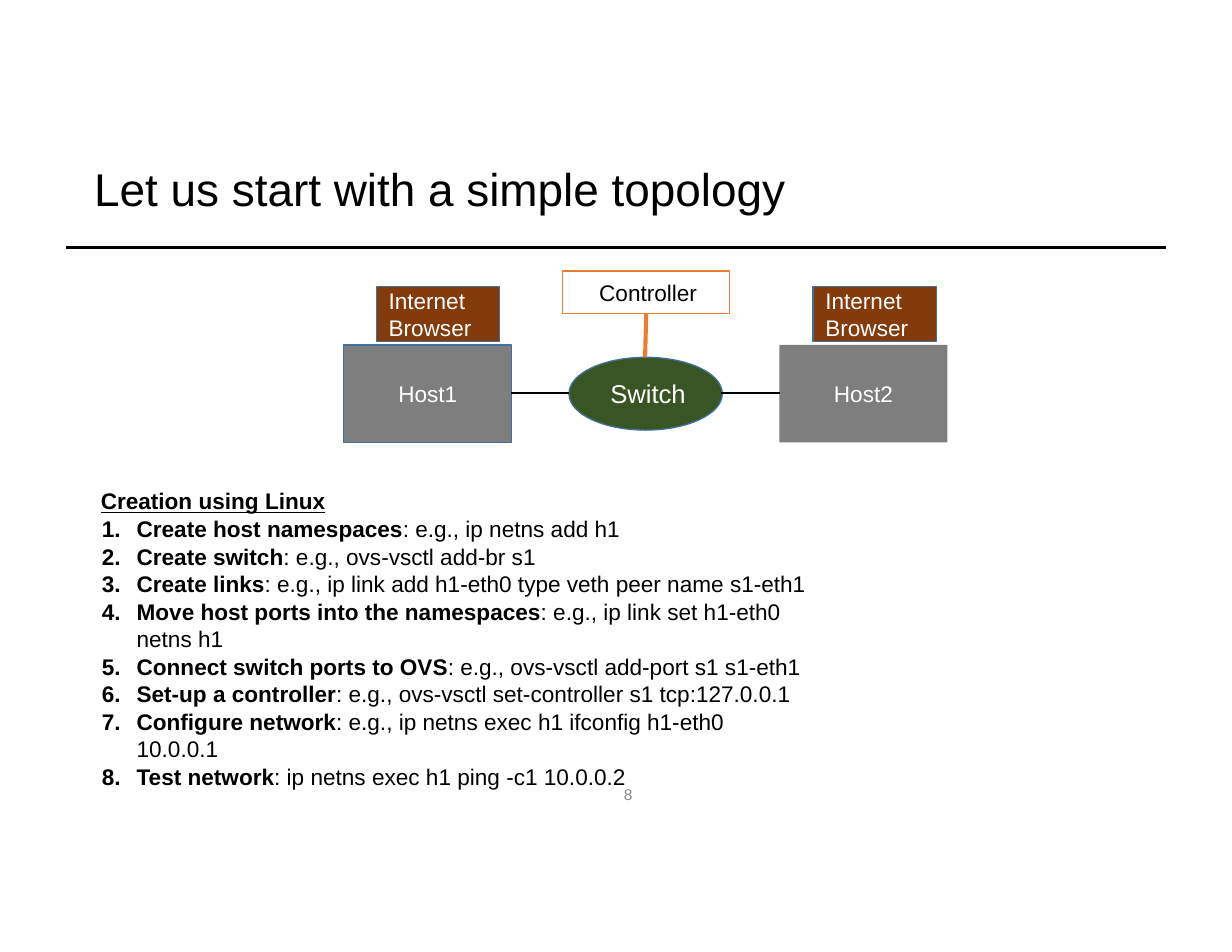
from dataclasses import dataclass

from lxml import etree
from pptx import Presentation
from pptx.dml.color import RGBColor
from pptx.enum.shapes import MSO_CONNECTOR, MSO_SHAPE
from pptx.enum.text import MSO_ANCHOR, PP_ALIGN
from pptx.oxml.ns import qn
from pptx.util import Inches, Pt

RECT = MSO_SHAPE.RECTANGLE
OVAL = MSO_SHAPE.OVAL
STRAIGHT = MSO_CONNECTOR.STRAIGHT
LEFT, CENTER = PP_ALIGN.LEFT, PP_ALIGN.CENTER
TOP, MIDDLE = MSO_ANCHOR.TOP, MSO_ANCHOR.MIDDLE

FONT = "Arial"
BLACK, WHITE = "000000", "FFFFFF"
GRAY, BROWN, GREEN = "7E7E7E", "833B0C", "385623"
BLUE, ORANGE, PALE = "41709C", "ED7C31", "898989"


@dataclass
class Node:
    text: str
    left: float
    top: float
    width: float
    height: float
    fill: str | None
    line: str | None
    inset: float = 0
    align: PP_ALIGN = LEFT
    size: float = 14.5
    color: str = WHITE
    kind: MSO_SHAPE = RECT
    weight: float = 0.84


@dataclass
class Link:
    x1: float
    y1: float
    x2: float
    y2: float
    color: str
    weight: float


@dataclass
class Step:
    name: str
    detail: str


NODES = [
    Node("Host1", 3.07, 3.08, 1.5, 0.87, GRAY, BLUE, align=CENTER),
    Node("Internet Browser", 3.36, 2.56, 1.1, 0.49, BROWN, BLUE, 0.11),
    Node("Host2", 6.96, 3.08, 1.5, 0.87, GRAY, None, align=CENTER),
    Node("Internet Browser", 7.26, 2.56, 1.1, 0.49, BROWN, BLUE, 0.11),
    Node("Switch", 5.08, 3.19, 1.37, 0.65, GREEN, BLUE, 0.17, size=16.5, kind=OVAL),
    Node("Controller", 5.02, 2.42, 1.49, 0.38, None, ORANGE, 0.33, color=BLACK, weight=0.75),
]

LINKS = [
    Link(0.59, 2.21, 10.41, 2.21, BLACK, 1.8),
    Link(4.56, 3.51, 5.08, 3.51, BLACK, 1.68),
    Link(6.44, 3.51, 6.96, 3.51, BLACK, 1.68),
    Link(5.77, 2.8, 5.76, 3.19, ORANGE, 2.64),
]

STEPS = [
    Step("Create host namespaces", "e.g., ip netns add h1"),
    Step("Create switch", "e.g., ovs-vsctl add-br s1"),
    Step("Create links", "e.g., ip link add h1-eth0 type veth peer name s1-eth1"),
    Step("Move host ports into the namespaces", "e.g., ip link set h1-eth0 netns h1"),
    Step("Connect switch ports to OVS", "e.g., ovs-vsctl add-port s1 s1-eth1"),
    Step("Set-up a controller", "e.g., ovs-vsctl set-controller s1 tcp:127.0.0.1"),
    Step("Configure network", "e.g., ip netns exec h1 ifconfig h1-eth0 10.0.0.1"),
    Step("Test network", "ip netns exec h1 ping -c1 10.0.0.2"),
]


def rgb(color: str) -> RGBColor:
    return RGBColor.from_string(color)


def style(font, size: float, color: str, bold: bool = False) -> None:
    font.name = FONT
    font.size = Pt(size)
    font.bold = bold
    font.color.rgb = rgb(color)


def set_frame(frame, left: float = 0, top: float = 0, anchor=TOP) -> None:
    frame.word_wrap = True
    frame.vertical_anchor = anchor
    frame.margin_left = Inches(left)
    frame.margin_top = Inches(top)
    frame.margin_right = frame.margin_bottom = 0


def draw_node(slide, node: Node) -> None:
    box = slide.shapes.add_shape(
        node.kind, Inches(node.left), Inches(node.top), Inches(node.width), Inches(node.height)
    )
    box.shadow.inherit = False
    if node.fill:
        box.fill.solid()
        box.fill.fore_color.rgb = rgb(node.fill)
    else:
        box.fill.background()
    if node.line:
        box.line.color.rgb = rgb(node.line)
        box.line.width = Pt(node.weight)
    else:
        box.line.fill.background()
    frame = box.text_frame
    set_frame(frame, node.inset, anchor=MIDDLE)
    frame.text = node.text
    para = frame.paragraphs[0]
    para.alignment = node.align
    style(para.runs[0].font, node.size, node.color)


def draw_link(slide, link: Link) -> None:
    line = slide.shapes.add_connector(
        STRAIGHT, Inches(link.x1), Inches(link.y1), Inches(link.x2), Inches(link.y2)
    )
    line.line.color.rgb = rgb(link.color)
    line.line.width = Pt(link.weight)
    etree.SubElement(line._element.spPr, qn("a:effectLst"))


def add_number(para) -> None:
    props = para._p.get_or_add_pPr()
    props.set("marL", str(Inches(0.32)))
    props.set("indent", str(-Inches(0.31)))
    tint = etree.SubElement(props, qn("a:buClr"))
    etree.SubElement(tint, qn("a:srgbClr"), val=BLACK)
    etree.SubElement(props, qn("a:buFont"), typeface=FONT)
    etree.SubElement(props, qn("a:buAutoNum"), type="arabicPeriod")


def draw_title(slide) -> None:
    title = slide.shapes.title
    title.left, title.top = Inches(0.83), Inches(1.41)
    title.width, title.height = Inches(7.44), Inches(0.51)
    frame = title.text_frame
    set_frame(frame, 0.01, 0.02)
    frame.text = "Let us start with a simple topology"
    para = frame.paragraphs[0]
    para.alignment = LEFT
    style(para.runs[0].font, 29.5, BLACK)


def draw_steps(slide) -> None:
    box = slide.shapes.add_textbox(Inches(0.89), Inches(4.33), Inches(6.34), Inches(2.26))
    frame = box.text_frame
    set_frame(frame, 0.01, 0.02)
    frame.text = "Creation using Linux"
    head = frame.paragraphs[0].runs[0].font
    style(head, 14.5, BLACK, True)
    head.underline = True
    for step in STEPS:
        para = frame.add_paragraph()
        add_number(para)
        para.space_before = Pt(0.4)
        for text, bold in ((step.name, True), (f": {step.detail}", False)):
            run = para.add_run()
            run.text = text
            style(run.font, 14.5, BLACK, bold)


def draw_page(slide) -> None:
    box = slide.shapes.add_textbox(Inches(5.53), Inches(7.01), Inches(0.17), Inches(0.17))
    frame = box.text_frame
    set_frame(frame, 0.04)
    frame.text = "8"
    style(frame.paragraphs[0].runs[0].font, 10, PALE)


def main() -> None:
    deck = Presentation()
    deck.slide_width, deck.slide_height = Inches(11), Inches(8.5)
    slide = deck.slides.add_slide(deck.slide_layouts[5])
    draw_title(slide)
    for node in NODES:
        draw_node(slide, node)
    for link in LINKS:
        draw_link(slide, link)
    draw_steps(slide)
    draw_page(slide)
    deck.save("out.pptx")


if __name__ == "__main__":
    main()
